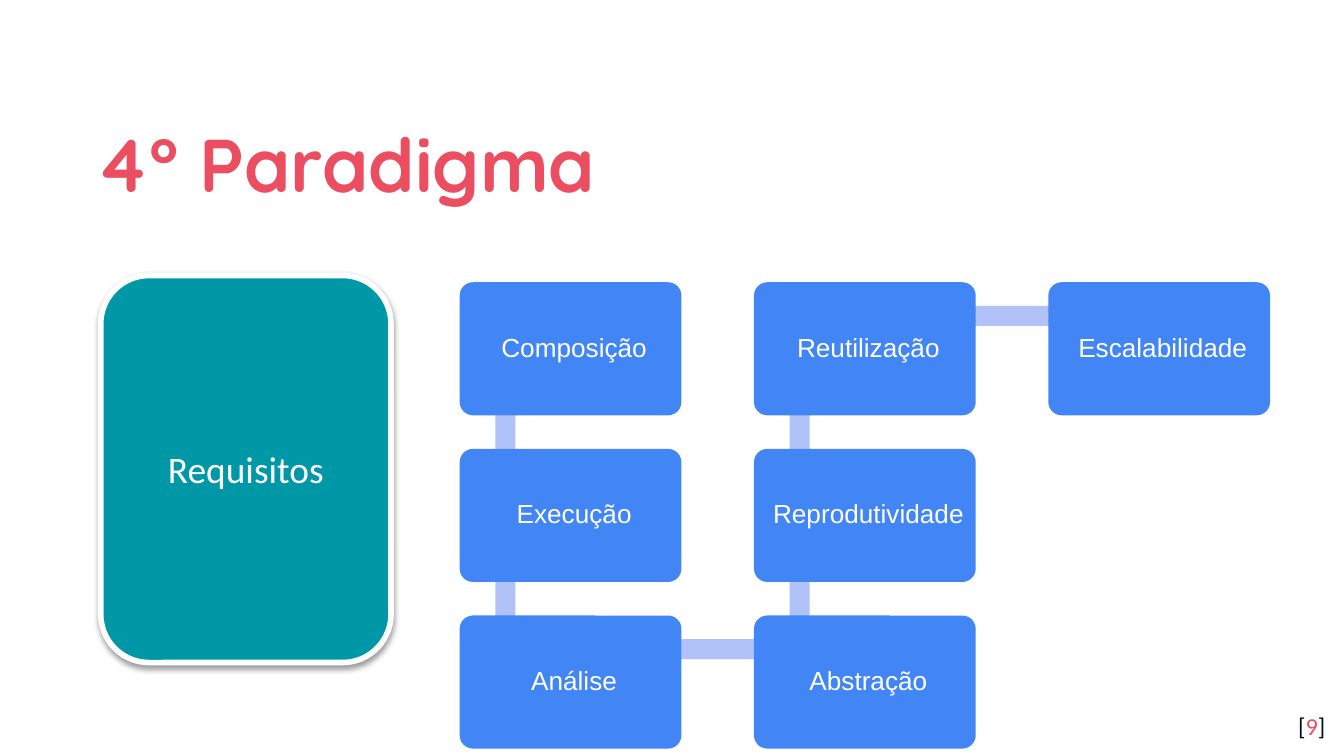
"""Build the slide with the requirements of the fourth paradigm."""
from lxml.etree import SubElement
from pptx import Presentation
from pptx.dml.color import RGBColor
from pptx.enum.shapes import MSO_SHAPE as Shape
from pptx.enum.text import MSO_ANCHOR as Anchor, MSO_AUTO_SIZE as AutoSize, PP_ALIGN as Align
from pptx.oxml.ns import qn
from pptx.util import Inches, Pt

COLORS = {
    "coral": "EA4E60",
    "navy": "040A24",
    "blue": "4285F4",
    "link": "B0C2F8",
    "teal": "0097A7",
    "white": "FFFFFF",
    "shadow": "000000",
}
STEPS = ["Composição", "Execução", "Análise", "Abstração",
         "Reprodutividade", "Reutilização", "Escalabilidade"]
HARD_SPACE = chr(160)
ROWS = 3
GRID_LEFT, GRID_TOP = 3.42, 2.1
COLUMN_STEP, ROW_STEP = 2.19, 1.24
CARD_WIDTH, CARD_HEIGHT = 1.65, 0.99
ANCHOR_X, ANCHOR_Y = 0.34, 0.25
LINK_WIDTH = 0.15


def rgb(name):
    return RGBColor.from_string(COLORS[name])


def add_run(para, text, font, size, color, bold=False):
    span = para.add_run()
    span.text = text
    span.font.name = font
    span.font.size = Pt(size)
    span.font.bold = bold
    span.font.color.rgb = rgb(color)


def set_frame(frame, margin, anchor):
    frame.word_wrap = True
    frame.auto_size = AutoSize.NONE
    frame.vertical_anchor = anchor
    frame.margin_left = frame.margin_right = Inches(margin)
    frame.margin_top = frame.margin_bottom = Inches(margin)


def add_box(shapes, kind, place, color):
    box = shapes.add_shape(kind, *map(Inches, place))
    box.shadow.inherit = False
    box.fill.solid()
    box.fill.fore_color.rgb = rgb(color)
    box.line.fill.background()
    return box


def add_shadow(box):
    effects = box._element.spPr.find(qn("a:effectLst"))
    shadow = SubElement(effects, qn("a:outerShdw"), blurRad=str(Pt(3.1)),
                        dist=str(Pt(1.6)), dir="5400000", rotWithShape="0")
    color = SubElement(shadow, qn("a:srgbClr"), val=COLORS["shadow"])
    SubElement(color, qn("a:alpha"), val="38000")


def add_title(page, text):
    title = page.shapes.title
    title.left, title.top = Inches(0.62), Inches(0.7)
    title.width, title.height = Inches(8.77), Inches(0.92)
    set_frame(title.text_frame, 0.1, Anchor.MIDDLE)
    para = title.text_frame.paragraphs[0]
    para.alignment = Align.LEFT
    para.line_spacing = 1.15
    add_run(para, text, "Quicksand", 40, "coral", bold=True)


def add_page_number(page, number):
    box = page.shapes.add_textbox(Inches(9.36), Inches(5.19), Inches(0.6), Inches(0.43))
    set_frame(box.text_frame, 0.1, Anchor.TOP)
    para = box.text_frame.paragraphs[0]
    para.alignment = Align.RIGHT
    for text, color in (("[", "navy"), (number, "coral"), ("]", "navy")):
        add_run(para, text, "Calibri", 13, color)


def card_corner(index):
    """Return the corner of a card on a path that snakes down and up the columns."""
    column, row = divmod(index, ROWS)
    if column % 2:
        row = ROWS - 1 - row
    return GRID_LEFT + column * COLUMN_STEP, GRID_TOP + row * ROW_STEP


def add_link(shapes, start, end):
    across, down = end[0] - start[0], end[1] - start[1]
    length = abs(across) + abs(down)
    center_x = (start[0] + end[0]) / 2 + ANCHOR_X
    center_y = (start[1] + end[1]) / 2 + ANCHOR_Y
    place = (center_x - length / 2, center_y - LINK_WIDTH / 2, length, LINK_WIDTH)
    link = add_box(shapes, Shape.RECTANGLE, place, "link")
    if abs(down) > abs(across):
        link.rotation = 90 if down > 0 else 270


def add_card(shapes, corner, text):
    place = (*corner, CARD_WIDTH, CARD_HEIGHT)
    card = add_box(shapes, Shape.ROUNDED_RECTANGLE, place, "blue")
    card.adjustments[0] = 0.1
    set_frame(card.text_frame, 0.05, Anchor.MIDDLE)
    para = card.text_frame.paragraphs[0]
    para.alignment = Align.CENTER
    para.line_spacing = 0.9
    add_run(para, HARD_SPACE + text, "Arial", 14, "white")


def add_snake(page):
    shapes = page.shapes.add_group_shape().shapes
    corners = [card_corner(index) for index in range(len(STEPS))]
    for start, end in zip(corners, corners[1:]):
        add_link(shapes, start, end)
    for corner, text in zip(corners, STEPS):
        add_card(shapes, corner, text)


def add_topic(page, text):
    topic = add_box(page.shapes, Shape.ROUNDED_RECTANGLE, (0.75, 2.05, 2.16, 2.88), "teal")
    topic.line.color.rgb = rgb("white")
    topic.line.width = Pt(3)
    add_shadow(topic)
    topic.text_frame.vertical_anchor = Anchor.MIDDLE
    para = topic.text_frame.paragraphs[0]
    para.alignment = Align.CENTER
    add_run(para, text, "Calibri", 20, "white")


def main():
    deck = Presentation()
    deck.slide_width = Inches(10)
    deck.slide_height = deck.slide_width * 9 // 16
    page = deck.slides.add_slide(deck.slide_layouts[5])
    add_page_number(page, "9")
    add_title(page, "4° Paradigma")
    add_snake(page)
    add_topic(page, "Requisitos")
    deck.save("out.pptx")


if __name__ == "__main__":
    main()
